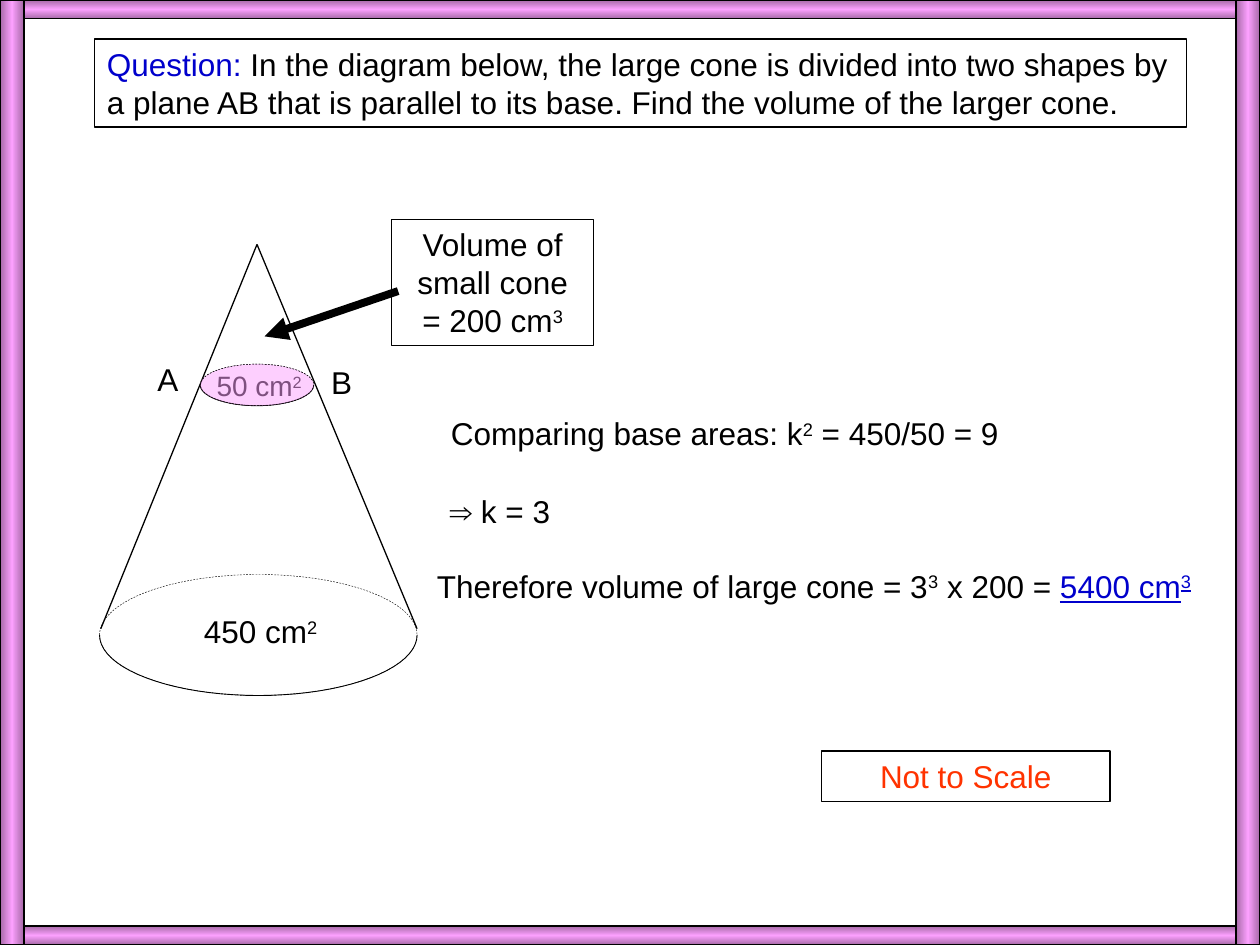
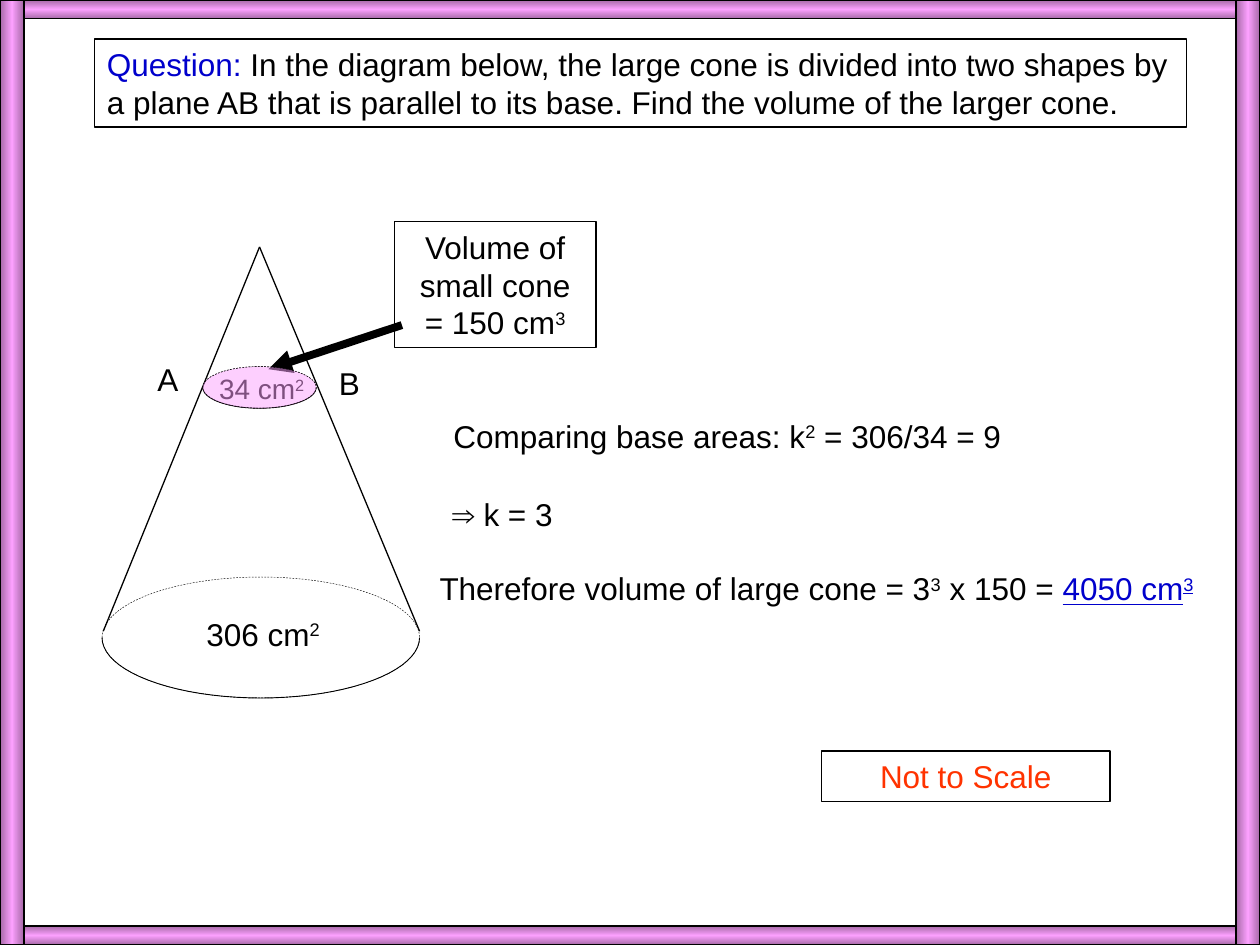
import copy
import math

import pptx
import pptx.util
import pptx.dml.color
import pptx.enum.dml
import pptx.enum.shapes
import pptx.enum.text
import pptx.oxml
import pptx.oxml.ns

# Content
QUESTION = ("In the diagram below, the large cone is divided into two shapes by a plane AB "
            "that is parallel to its base. Find the volume of the larger cone.")
SCALE_NOTE = "Not to Scale"

# Positions in inches; shift moves the whole cone and its working
PROBLEMS = [
    {"small_base": 50, "large_base": 450, "small_volume": 200, "large_volume": 5400,
     "shift": 0, "b_at": (2.53, 2.83), "pointer": (3.16, 2.31, 2.1, 2.67)},
    {"small_base": 34, "large_base": 306, "small_volume": 150, "large_volume": 4050,
     "shift": 0.02, "b_at": (2.59, 2.84), "pointer": (3.19, 2.58, 2.13, 2.93)},
]

# Shared look
WIDTH, HEIGHT = 10, 7.5
BAND_ROW, BAND_COLUMN = 0.15, 0.19
FONT = "Arial"
BLACK, BLUE, RED = "000000", "0000CC", "FF3300"
PINK, PLUM = "FCA0FE", "A669A7"

# Cone geometry
APEX = (2.04, 1.94)
BASE_RIM = (0.79, 4.56, 2.52, 0.96)
CUT_RIM = (1.59, 2.89, 0.9, 0.33)
SHOULDER = 4.99

RECTANGLE = pptx.enum.shapes.MSO_SHAPE.RECTANGLE
OVAL = pptx.enum.shapes.MSO_SHAPE.OVAL


def rgb(colour):
    return pptx.dml.color.RGBColor.from_string(colour)


def inches(*lengths):
    return [pptx.util.Inches(length) for length in lengths]


def moved(box, shift):
    return (box[0] + shift, box[1] + shift, *box[2:])


def ink(line, width):
    line.color.rgb = rgb(BLACK)
    line.width = pptx.util.Pt(width)


def outlined(slide, kind, box, width=0.75):
    shape = slide.shapes.add_shape(kind, *inches(*box))
    shape.shadow.inherit = False
    shape.fill.background()
    ink(shape.line, width)
    return shape


def write(frame, pieces, size=18, centred=False):
    """Pieces are (text, colour, underlined); the character after ^ is raised."""
    frame.word_wrap = True
    frame.vertical_anchor = pptx.enum.text.MSO_ANCHOR.TOP
    paragraph = frame.paragraphs[0]
    align = pptx.enum.text.PP_ALIGN
    paragraph.alignment = align.CENTER if centred else align.LEFT
    for text, colour, underlined in pieces:
        plain, *powers = text.split("^")
        parts = [(plain, False)]
        for power in powers:
            parts += [(power[0], True), (power[1:], False)]
        for words, raised in parts:
            if not words:
                continue
            run = paragraph.add_run()
            run.text = words
            run.font.name = FONT
            run.font.size = pptx.util.Pt(size)
            run.font.color.rgb = rgb(colour)
            if underlined:
                run.font.underline = True
            if raised:
                run.font._element.set("baseline", "30000")


def label(slide, box, text, size=18, answer=""):
    frame = slide.shapes.add_textbox(*inches(*box)).text_frame
    write(frame, [(text, BLACK, False), (answer, BLUE, True)], size)


def straight(slide, ends, width):
    line = slide.shapes.add_connector(pptx.enum.shapes.MSO_CONNECTOR.STRAIGHT, *inches(*ends))
    ink(line.line, width)
    pptx.oxml.ns.qn("a:effectLst")
    line._element.spPr.append(pptx.oxml.parse_xml(
        f'<a:effectLst {pptx.oxml.ns.nsdecls("a")}/>'))
    return line


def dashed_rim(slide, box):
    rim = outlined(slide, OVAL, box, 0.25)
    rim.line.dash_style = pptx.enum.dml.MSO_LINE.DASH
    return rim


def front_rim(slide, box):
    left, top, width, height = box
    points = []
    for step in range(41):
        angle = math.pi * step / 40
        points.append(inches(left + width / 2 * (1 - math.cos(angle)),
                             top + height / 2 * (1 + math.sin(angle))))
    builder = slide.shapes.build_freeform(*points[0])
    builder.add_line_segments(points[1:], close=False)
    curve = builder.convert_to_shape()
    curve.shadow.inherit = False
    curve.fill.background()
    ink(curve.line, 0.5)


def frame_bands(slide):
    bands = [((0, 0, WIDTH, BAND_ROW), 90),
             ((0, HEIGHT - BAND_ROW, WIDTH, BAND_ROW), 90),
             ((0, 0, BAND_COLUMN, HEIGHT), 0),
             ((WIDTH - BAND_COLUMN, 0, BAND_COLUMN, HEIGHT), 0)]
    for box, angle in bands:
        fill = outlined(slide, RECTANGLE, box).fill
        fill.gradient()
        fill.gradient_angle = angle
        edge, middle = fill.gradient_stops
        edge.color.rgb, middle.color.rgb = rgb(PLUM), rgb(PINK)
        edge.position, middle.position = 0, 0.5
        first, second = slide.shapes[-1]._element.spPr.iter(pptx.oxml.ns.qn("a:gs"))
        last = copy.deepcopy(first)
        last.set("pos", "100000")
        second.addnext(last)


def build(slide, problem):
    shift = problem["shift"]
    base_rim, cut_rim = moved(BASE_RIM, shift), moved(CUT_RIM, shift)

    # Cone
    dashed_rim(slide, base_rim)
    for foot in (BASE_RIM[0] + 0.01, BASE_RIM[0] + BASE_RIM[2]):
        straight(slide, [end + shift for end in (foot, SHOULDER, *APEX)], 0.75)
    front_rim(slide, base_rim)
    dashed_rim(slide, cut_rim)
    front_rim(slide, cut_rim)

    # Areas and working
    small, large = problem["small_base"], problem["large_base"]
    volume = problem["small_volume"]
    label(slide, moved((1.52, 4.81, 1.17, 0.4), shift), f"{large} cm^2")
    label(slide, moved((3.48, 3.24, 5.01, 0.4), shift),
          f"Comparing base areas: k^2 = {large}/{small} = 9")
    label(slide, moved((1.62, 2.88, 1.08, 0.37), shift), f"{small} cm^2", 16)
    label(slide, moved((3.47, 3.86, 1.33, 0.4), shift), "⇒ k = 3")
    label(slide, moved((3.37, 4.45, 6.26, 0.4), shift),
          f"Therefore volume of large cone = 3^3 x {volume} = ",
          answer=f"{problem['large_volume']} cm^3")

    # Question, plane ends and small cone
    question = outlined(slide, RECTANGLE, (0.75, 0.31, 8.67, 0.7))
    write(question.text_frame, [("Question: ", BLUE, False), (QUESTION, BLACK, False)])
    label(slide, (1.15, 2.81, 0.69, 0.4), "A")
    label(slide, (*problem["b_at"], 0.69, 0.4), "B")
    small_cone = outlined(slide, RECTANGLE, moved((3.11, 1.74, 1.6, 1), shift))
    write(small_cone.text_frame,
          [(f"Volume of small cone = {volume} cm^3", BLACK, False)], centred=True)
    pointer = straight(slide, problem["pointer"], 4.5)
    pointer.line._get_or_add_ln().append(pptx.oxml.parse_xml(
        f'<a:tailEnd {pptx.oxml.ns.nsdecls("a")} type="triangle"/>'))

    # Frame, scale note and tinted cut
    frame_bands(slide)
    note = outlined(slide, RECTANGLE, (6.52, 5.96, 2.29, 0.4))
    write(note.text_frame, [(SCALE_NOTE, RED, False)], centred=True)
    cut = dashed_rim(slide, cut_rim)
    cut.fill.solid()
    cut.fill.fore_color.rgb = rgb(PINK)
    tint = cut._element.spPr.find(pptx.oxml.ns.qn("a:solidFill"))[0]
    tint.append(pptx.oxml.parse_xml(
        f'<a:alpha {pptx.oxml.ns.nsdecls("a")} val="50000"/>'))


def main():
    deck = pptx.Presentation()
    deck.slide_width, deck.slide_height = inches(WIDTH, HEIGHT)
    for problem in PROBLEMS:
        build(deck.slides.add_slide(deck.slide_layouts[6]), problem)
    deck.save("out.pptx")


if __name__ == "__main__":
    main()
